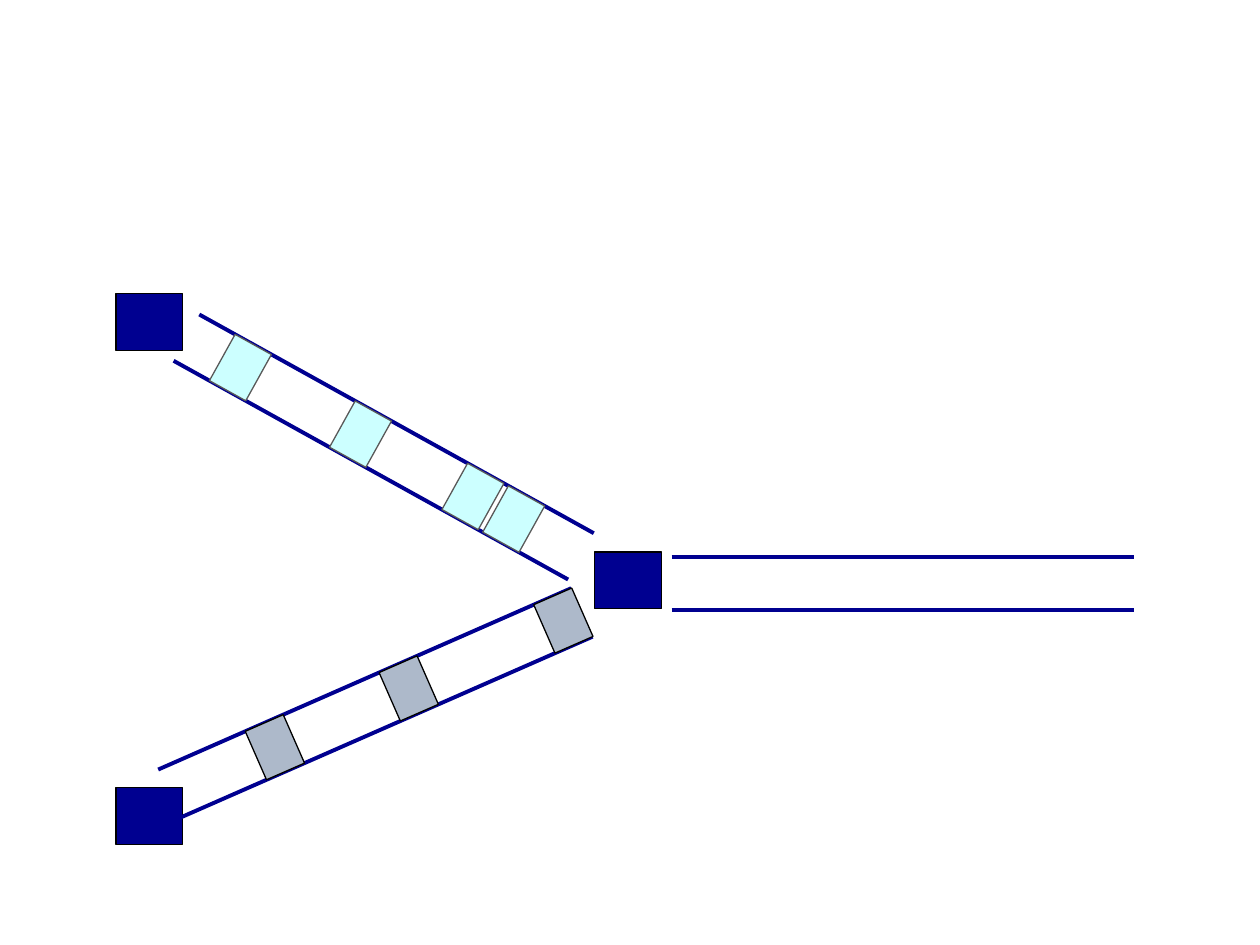
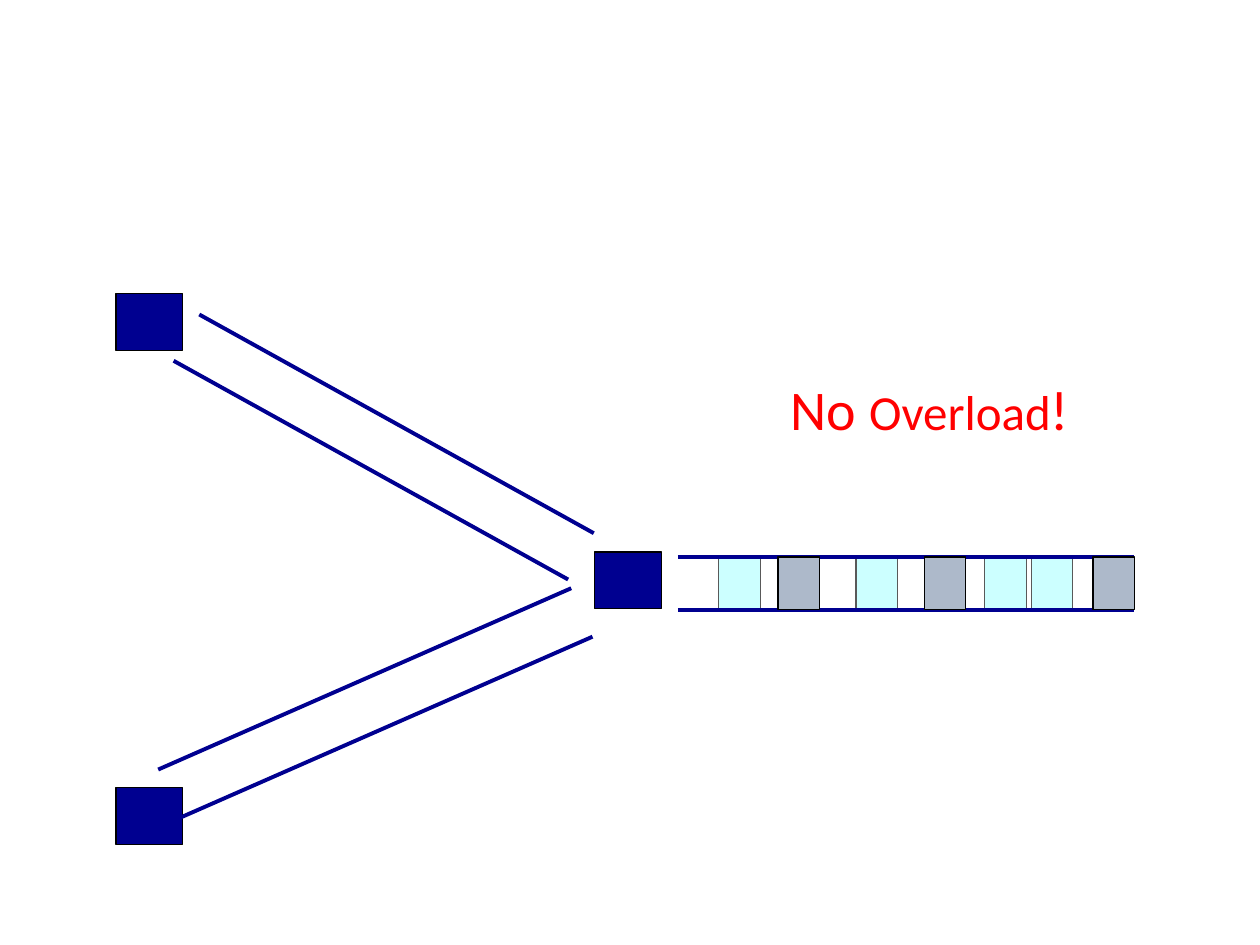
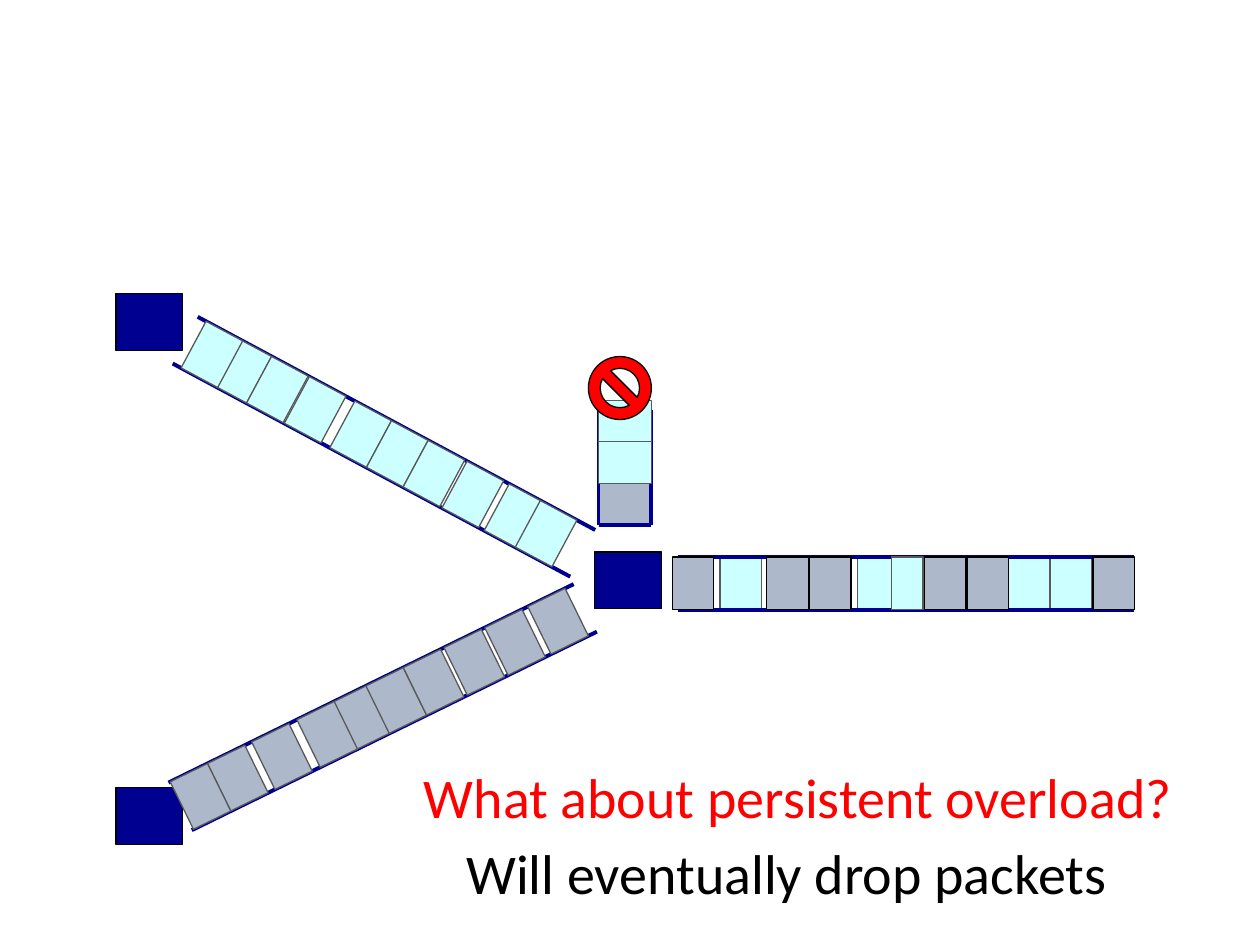
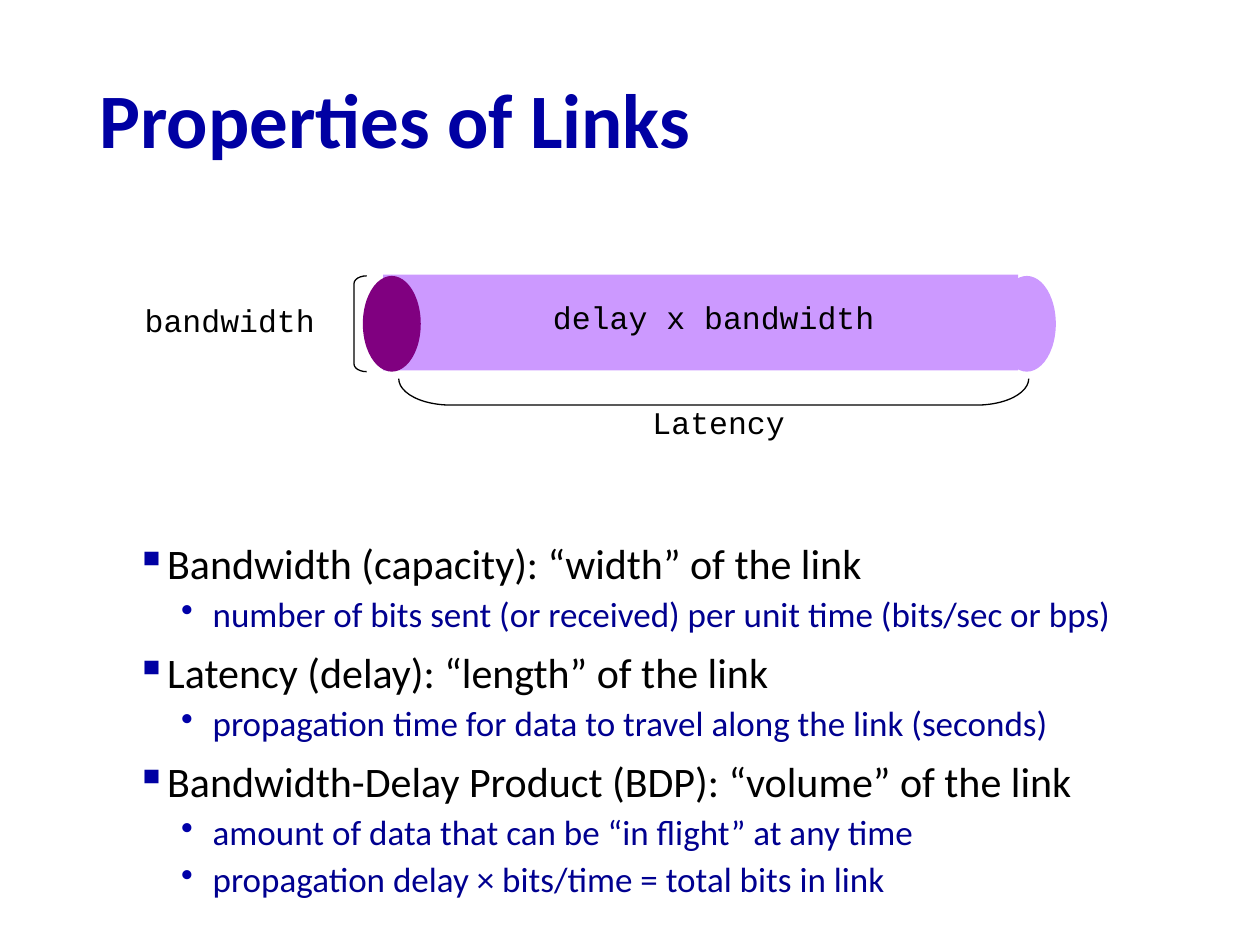
from math import cos, radians, sin

from lxml.etree import SubElement
from pptx import Presentation
from pptx.dml.color import RGBColor
from pptx.enum.shapes import MSO_CONNECTOR, MSO_SHAPE
from pptx.enum.text import MSO_ANCHOR, MSO_AUTO_SIZE, PP_ALIGN
from pptx.oxml.ns import qn
from pptx.util import Inches, Pt

NAVY, BLACK, RED, GREY = "000090", "000000", "FF0000", "595959"
CYAN, SLATE = "CCFFFF", "ADB9CA"
LILAC, PURPLE = "CC99FF", "800080"
TITLE_BLUE, SUB_BULLET = "0000A3", "0000A8"
SANS, MONO = "Calibri", "Courier New"

LINK_LENGTH, LINK_WIDTH = 3.58, 0.42
PACKET_WIDTH, PACKET_HEIGHT = 0.33, 0.42

# Centres of the packets, measured along a link from its start
UPPER_TRAFFIC = (2.97, 2.6, 1.58, 0.49)
LOWER_TRAFFIC = (0.92, 3.42, 2.08)
UPPER_LINK = (1.48, 2.68, 29)
LOWER_LINK = (1.34, 6.3, -23.7)
OUTPUT_Y = 4.63

BULLETS = (
    (0, "Bandwidth (capacity): “width” of the link"),
    (1, "number of bits sent (or received) per unit time (bits/sec or bps)"),
    (0, "Latency (delay): “length” of the link"),
    (1, "propagation time for data to travel along the link (seconds)"),
    (0, "Bandwidth-Delay Product (BDP): “volume” of the link"),
    (1, "amount of data that can be “in flight” at any time"),
    (1, "propagation delay × bits/time = total bits in link"),
)
# Per level: indent, hanging, space before, size, text colour, mark, mark colour
LEVELS = (
    (0.39, 0.24, 10, 24, BLACK, "▪", TITLE_BLUE),
    (0.76, 0.25, 5, 20, NAVY, "•", SUB_BULLET),
)


def colour(value):
    return RGBColor.from_string(value)


# Basic parts
def add_box(shapes, kind, left, top, width, height,
            fill=None, line=None, weight=0.75, angle=0):
    box = shapes.add_shape(kind, Inches(left), Inches(top), Inches(width), Inches(height))
    box.shadow.inherit = False
    box.rotation = angle
    if fill:
        box.fill.solid()
        box.fill.fore_color.rgb = colour(fill)
    else:
        box.fill.background()
    if line:
        box.line.color.rgb = colour(line)
        box.line.width = Pt(weight)
    else:
        box.line.fill.background()
    return box


def add_line(shapes, x1, y1, x2, y2):
    line = shapes.add_connector(MSO_CONNECTOR.STRAIGHT, Inches(x1), Inches(y1),
                                Inches(x2), Inches(y2))
    line.line.color.rgb = colour(NAVY)
    line.line.width = Pt(2.25)
    SubElement(line._element.spPr, qn("a:effectLst"))


def add_span(para, text, size, ink, font=SANS, bold=False):
    span = para.add_run()
    span.text = text
    span.font.name = font
    span.font.size = Pt(size)
    span.font.bold = bold
    span.font.color.rgb = colour(ink)


def add_text_frame(page, left, top, width, height, wrap=True, grow=False):
    box = page.shapes.add_textbox(Inches(left), Inches(top), Inches(width), Inches(height))
    frame = box.text_frame
    frame.word_wrap = wrap
    frame.auto_size = MSO_AUTO_SIZE.SHAPE_TO_FIT_TEXT if grow else MSO_AUTO_SIZE.NONE
    return frame


def add_caption(page, left, top, width, *spans):
    para = add_text_frame(page, left, top, width, 0.64, grow=True).paragraphs[0]
    para.alignment = PP_ALIGN.CENTER
    for text, size, ink in spans:
        add_span(para, text, size, ink)


def add_label(page, left, top, width, text):
    frame = add_text_frame(page, left, top, width, 0.43, wrap=False, grow=True)
    add_span(frame.paragraphs[0], text, 18, BLACK, MONO)


# Network parts
def add_packet(shapes, x, y, fill, edge, angle=0, width=PACKET_WIDTH, weight=0.75):
    add_box(shapes, MSO_SHAPE.RECTANGLE, x - width / 2, y - PACKET_HEIGHT / 2,
            width, PACKET_HEIGHT, fill, edge, weight, angle)


def add_link(page, x, y, angle, packets=(), fill=CYAN, edge=GREY):
    """Two rails around a centre line from (x, y), with packets along it."""
    shapes = page.shapes.add_group_shape().shapes
    along, across = cos(radians(angle)), sin(radians(angle))
    for side in (-LINK_WIDTH / 2, LINK_WIDTH / 2):
        x1, y1 = x - side * across, y + side * along
        add_line(shapes, x1, y1, x1 + LINK_LENGTH * along, y1 + LINK_LENGTH * across)
    for distance in packets:
        add_packet(shapes, x + distance * along, y + distance * across, fill, edge, angle)


def add_queue(page, left, top, width, height):
    """An open-topped buffer, filled from the bottom."""
    shapes = page.shapes.add_group_shape().shapes
    right, bottom = left + width, top + height
    add_packet(shapes, left + width / 2, bottom - 0.17, SLATE, GREY, 90, weight=0.5)
    add_line(shapes, left, top, left, bottom)
    add_line(shapes, right, top, right, bottom)
    add_line(shapes, left, bottom, right, bottom)
    for place in (1, 2):
        add_packet(shapes, left + width / 2, bottom - 0.17 - place * PACKET_WIDTH,
                   CYAN, GREY, 90, weight=0.5)


def add_nodes(page):
    for left, top in ((4.72, 4.38), (0.92, 2.33), (0.92, 6.25)):
        add_box(page.shapes, MSO_SHAPE.RECTANGLE, left, top, 0.53, 0.45, NAVY, BLACK)


# Slides
def build_arrival(page):
    add_nodes(page)
    add_link(page, *UPPER_LINK, UPPER_TRAFFIC)
    add_link(page, *LOWER_LINK, LOWER_TRAFFIC, SLATE, BLACK)
    for start in (5.33, 5.42):
        add_link(page, start, OUTPUT_Y, 0)


def build_no_overload(page):
    add_nodes(page)
    add_link(page, *UPPER_LINK)
    add_link(page, *LOWER_LINK)
    add_link(page, 5.38, OUTPUT_Y, 0, UPPER_TRAFFIC)
    add_link(page, 5.42, OUTPUT_Y, 0, LOWER_TRAFFIC, SLATE, BLACK)
    add_caption(page, 5.67, 2.92, 3.42,
                ("No ", 32, RED), ("Overload", 28, RED), ("!", 32, RED))


def build_persistent_overload(page):
    add_nodes(page)
    add_caption(page, 2.67, 6, 7.33, ("What about persistent overload?", 32, RED))
    add_link(page, 1.47, 2.7, 28.2,
             (2.97, 2.59, 1.58, 0.5, 0.83, 1.17, 1.91, 2.24, 0.24, 3.25))
    add_link(page, 1.43, 6.4, -26.1,
             (2.96, 2.6, 1.59, 0.51, 0.9, 1.3, 1.91, 2.24, 0.18, 3.34), SLATE)
    # Full output link, with one packet cut short
    add_link(page, 5.38, OUTPUT_Y, 0, (3.12, 2.79, 1.59, 0.5))
    add_link(page, 5.42, OUTPUT_Y, 0, (0.83, 3.42, 2.08, 2.42, 1.17, 0.08), SLATE, BLACK)
    add_packet(page.shapes, 7.2, OUTPUT_Y, CYAN, GREY, width=0.25)
    # Overflowing queue
    add_queue(page, 4.75, 3.25, 0.42, 0.92)
    add_box(page.shapes, MSO_SHAPE.NO_SYMBOL, 4.67, 2.83, 0.5, 0.5, RED, BLACK)
    add_caption(page, 2.58, 6.61, 7.33, ("Will eventually drop packets", 32, BLACK))


def add_pipe(page, left, top, length, height):
    """The link drawn as a pipe, with its two dimensions."""
    cap = 0.46
    shapes = page.shapes
    add_box(shapes, MSO_SHAPE.OVAL, left + length, top, cap, height, LILAC)
    add_box(shapes, MSO_SHAPE.RECTANGLE, left + 0.16, top - 0.01, length, height, LILAC)
    add_box(shapes, MSO_SHAPE.OVAL, left, top, cap, height, PURPLE)
    width_mark = add_box(shapes, MSO_SHAPE.LEFT_BRACKET, left - 0.07, top, 0.1, height,
                         line=BLACK)
    width_mark.adjustments[0] = 0.61
    length_mark = add_box(shapes, MSO_SHAPE.LEFT_BRACKET, left + 2.68, top - 1.58, 0.21, 5,
                          line=BLACK, angle=270)
    length_mark.adjustments[0] = 1.98
    add_label(page, left - 1.83, top + 0.15, 1.7, "bandwidth")
    add_label(page, left + 2.2, top + 0.96, 1.38, "Latency")
    add_label(page, left + 1.41, top + 0.13, 3.03, "delay x bandwidth")


def add_bullets(page, left, top, width, height):
    frame = add_text_frame(page, left, top, width, height)
    for index, (level, text) in enumerate(BULLETS):
        indent, hanging, before, size, ink, mark, mark_ink = LEVELS[level]
        para = frame.add_paragraph() if index else frame.paragraphs[0]
        para.level = level
        para.line_spacing = 0.9
        para.space_before = Pt(before)
        add_span(para, text, size, ink)
        properties = para._p.get_or_add_pPr()
        properties.set("marL", str(Inches(indent)))
        properties.set("indent", str(-Inches(hanging)))
        bullet_colour = SubElement(properties, qn("a:buClr"))
        SubElement(bullet_colour, qn("a:srgbClr"), val=mark_ink)
        SubElement(properties, qn("a:buChar"), char=mark)


def build_link_properties(page):
    title = add_text_frame(page, 0.69, 0.49, 8.62, 0.98)
    title.vertical_anchor = MSO_ANCHOR.MIDDLE
    title.paragraphs[0].line_spacing = 0.9
    add_span(title.paragraphs[0], "Properties of Links", 44, TITLE_BLUE, bold=True)
    add_bullets(page, 0.83, 4.26, 9.17, 3.24)
    add_pipe(page, 2.88, 2.19, 5.04, 0.76)


def main():
    deck = Presentation()
    deck.slide_width, deck.slide_height = Inches(10), Inches(7.5)
    for build in (build_arrival, build_no_overload,
                  build_persistent_overload, build_link_properties):
        build(deck.slides.add_slide(deck.slide_layouts[6]))
    deck.save("out.pptx")


if __name__ == "__main__":
    main()
